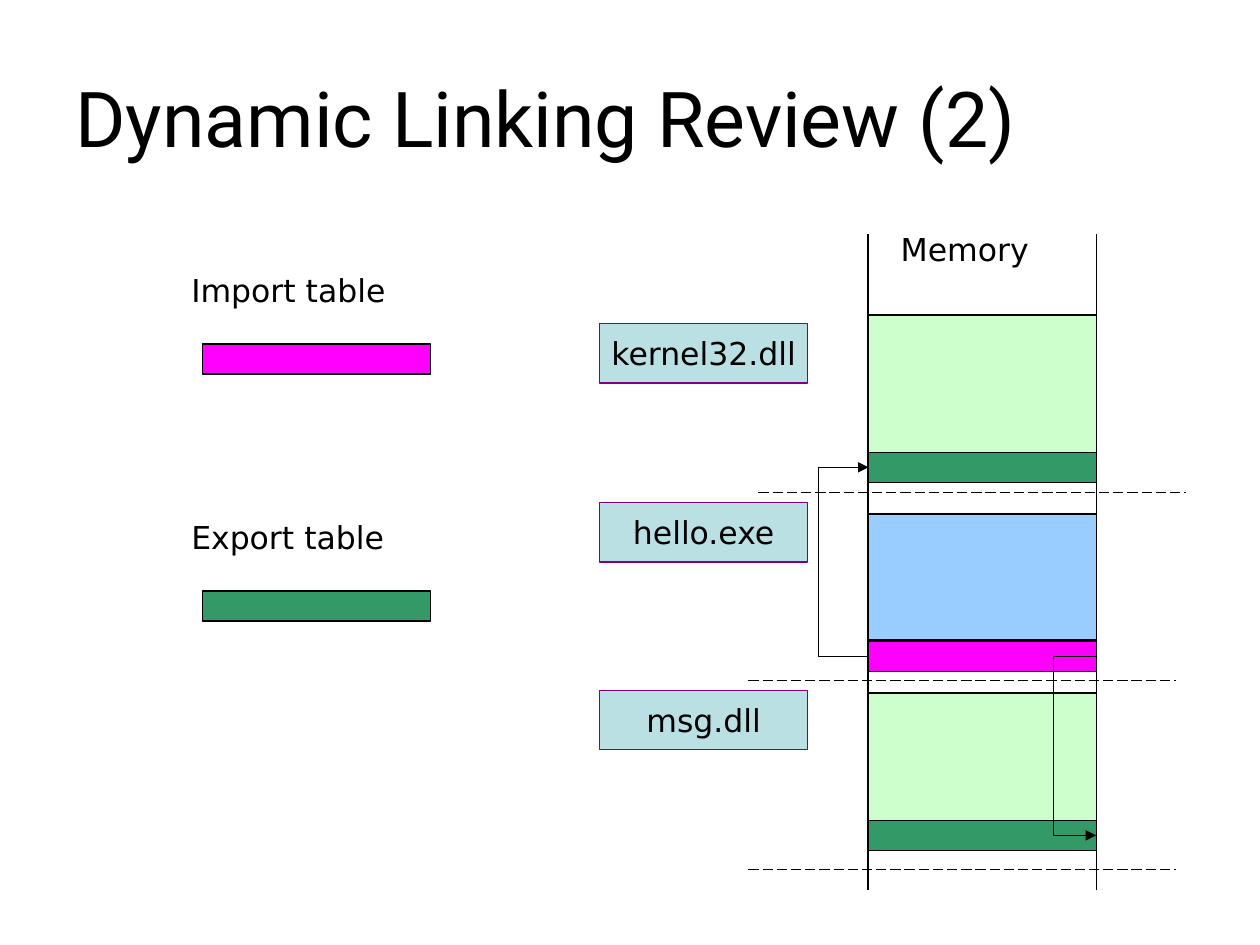
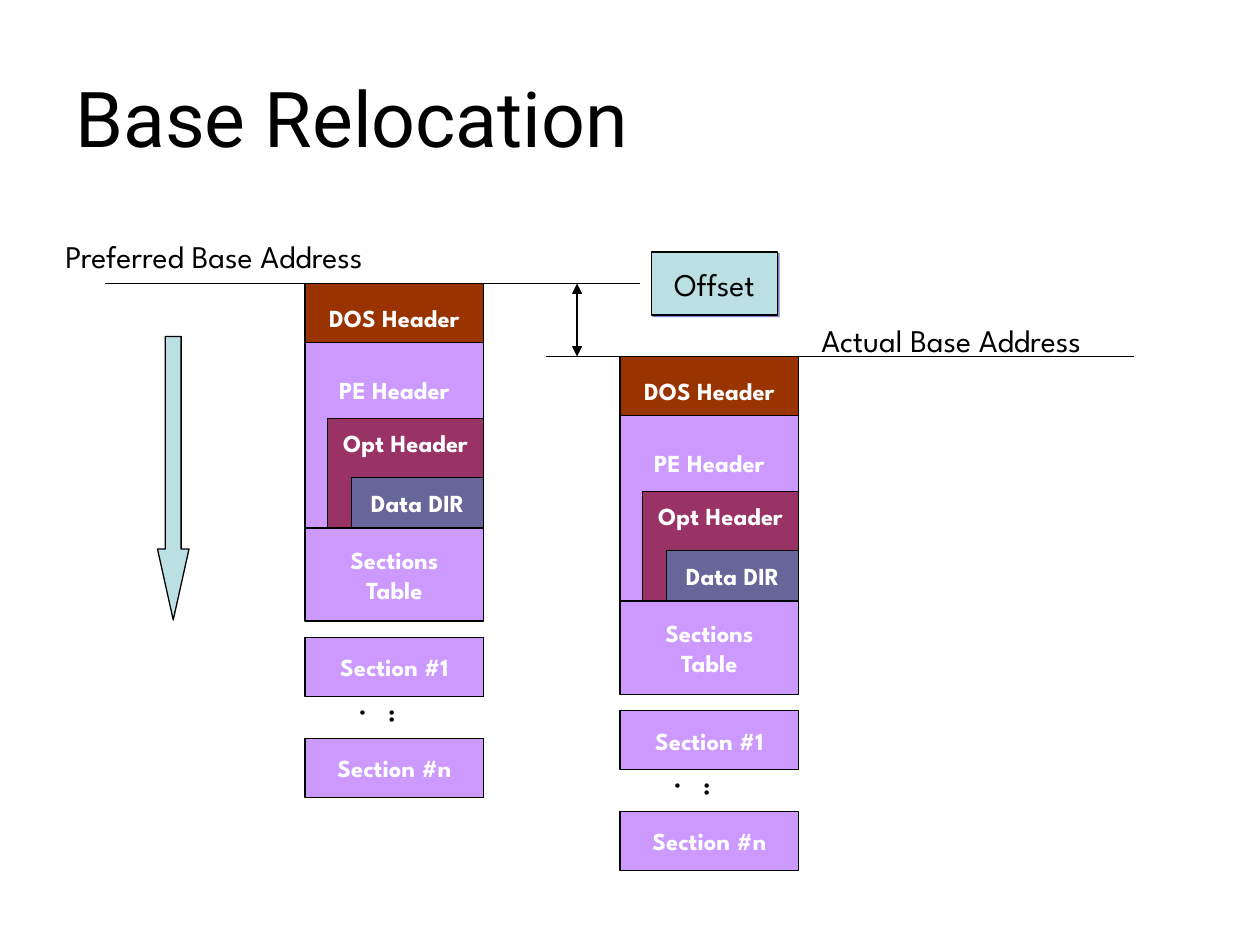
from lxml import etree
from pptx import Presentation
from pptx.dml.color import RGBColor
from pptx.enum.dml import MSO_LINE as DASH
from pptx.enum.shapes import MSO_CONNECTOR as CONN, MSO_SHAPE as SHAPE
from pptx.enum.text import MSO_ANCHOR as ANCHOR, PP_ALIGN as ALIGN
from pptx.oxml.ns import qn
from pptx.util import Inches, Pt

BLACK = RGBColor(0x00, 0x00, 0x00)
WHITE = RGBColor(0xFF, 0xFF, 0xFF)
TEAL = RGBColor(0xBB, 0xE0, 0xE3)
PURPLE = RGBColor(0x80, 0x00, 0x80)
MINT = RGBColor(0xCC, 0xFF, 0xCC)
SKY = RGBColor(0x99, 0xCC, 0xFF)
GREEN = RGBColor(0x33, 0x99, 0x66)
PINK = RGBColor(0xFF, 0x00, 0xFF)
BROWN = RGBColor(0x99, 0x33, 0x00)
LILAC = RGBColor(0xCC, 0x99, 0xFF)
PLUM = RGBColor(0x99, 0x33, 0x66)
SLATE = RGBColor(0x66, 0x66, 0x99)
SANS, SPARTAN, ROBOTO = "DejaVu Sans", "League Spartan", "Roboto"


def put(shapes, at, text="", font=SANS, size=18, fill=None, edge=BLACK,
        color=BLACK, bold=False, kind=SHAPE.RECTANGLE):
    """Add a filled shape, or a plain text box when there is no fill."""
    at = [Inches(n) for n in at]
    if fill is None:
        box = shapes.add_textbox(*at)
    else:
        box = shapes.add_shape(kind, *at)
        box.shadow.inherit = False
        box.fill.solid()
        box.fill.fore_color.rgb = fill
        box.line.color.rgb = edge
        box.line.width = Pt(0.75)
    frame = box.text_frame
    frame.word_wrap = fill is None
    frame.vertical_anchor = ANCHOR.TOP if fill is None else ANCHOR.MIDDLE
    if text:
        frame.text = text
    for para in frame.paragraphs:
        para.alignment = ALIGN.LEFT if fill is None else ALIGN.CENTER
        for run in para.runs:
            run.font.name, run.font.size = font, Pt(size)
            run.font.bold, run.font.color.rgb = bold, color
    return box


def link(shapes, start, end, kind=CONN.STRAIGHT, dash=None, tips=()):
    """Add a black line; tips names the ends that carry an arrowhead."""
    line = shapes.add_connector(kind, *[Inches(n) for n in start + end])
    line.line.color.rgb = BLACK
    line.line.width = Pt(0.75)
    if dash:
        line.line.dash_style = dash
    for tip in tips:
        etree.SubElement(line.line._get_or_add_ln(), qn("a:" + tip), type="triangle")
    etree.SubElement(line._element.spPr, qn("a:effectLst"))
    return line


# Slides and titles
deck = Presentation()
deck.slide_width, deck.slide_height = Inches(10), Inches(7.5)
pages = []
for name in ("Dynamic Linking Review (2)", "Base Relocation"):
    page = deck.slides.add_slide(deck.slide_layouts[6])
    title = put(page.shapes, (0.5, 0.3, 9, 1.25), name, ROBOTO, 44)
    title.text_frame.vertical_anchor = ANCHOR.MIDDLE
    pages.append(page.shapes)
link_page, base_page = pages

# Memory column
LEFT, WIDE, THIN = 6.89, 1.81, 0.24
RIGHT = LEFT + WIDE
for x in (LEFT, RIGHT):
    link(link_page, (x, 1.86), (x, 7.06))
put(link_page, (7.05, 1.78, 1.58, 0.4), "Memory")

# Modules: label top, block top, block height, table top, colours
modules = [
    ("kernel32.dll", 2.57, 2.5, 1.09, 3.59, MINT, GREEN),
    ("hello.exe", 3.99, 4.08, 1, 5.09, SKY, PINK),
    ("msg.dll", 5.48, 5.5, 1.01, 6.51, MINT, GREEN),
]
tables = []
for name, tag, top, tall, low, fill, mark in modules:
    put(link_page, (4.76, tag, 1.65, 0.47), name, fill=TEAL, edge=PURPLE)
    put(link_page, (LEFT, top, WIDE, tall), fill=fill)
    tables.append(put(link_page, (LEFT, low, WIDE, THIN), fill=mark))
for x, y in ((6.02, 3.91), (5.94, 5.4), (5.94, 6.9)):
    link(link_page, (x, y), (x + 3.39, y), dash=DASH.LONG_DASH)

# Bent arrows from the import table to each export table
RATIO = 144
kernel, hello, msg = tables
for goal, x, y, site, reach in ((kernel, LEFT, 3.71, 1, -0.4), (msg, RIGHT, 6.63, 3, 0.34)):
    bend = link(link_page, (x, 5.21), (x, y), CONN.ELBOW, tips=["tailEnd"])
    bend.begin_connect(hello, site)
    bend.end_connect(goal, site)
    bend.width = Inches(abs(reach) / RATIO)
    guides = bend._element.spPr.find(qn("a:prstGeom")).get_or_add_avLst()
    ratio = RATIO if reach > 0 else -RATIO
    etree.SubElement(guides, qn("a:gd"), name="adj1", fmla=f"val {ratio * 100000}")

# Legend
for name, top, fill in (("Import table", 2.1, PINK), ("Export table", 4.06, GREEN)):
    put(link_page, (1.42, top, 2.44, 0.4), name)
    put(link_page, (1.61, top + 0.63, WIDE, THIN), fill=fill)

# Direction arrow and base address lines
arrow = put(base_page, (1.25, 2.67, 0.25, 2.25), fill=TEAL, kind=SHAPE.DOWN_ARROW)
arrow.adjustments[0], arrow.adjustments[1] = 0.5, 2.25
link(base_page, (0.83, 2.25), (5.08, 2.25))
put(base_page, (0.42, 1.83, 4.33, 0.4), "Preferred Base Address", SPARTAN)
link(base_page, (4.33, 2.83), (9, 2.83))
put(base_page, (6.42, 2.5, 3.58, 0.4), "Actual Base Address", SPARTAN)
link(base_page, (4.58, 2.25), (4.58, 2.83), tips=["headEnd", "tailEnd"])

# File layout: text, indent, drop, height, fill, top inset for top-set text
parts = [
    ("DOS Header", 0, 0, 0.54, BROWN, None),
    ("PE Header", 0, 0.47, 1.47, LILAC, 0.26),
    ("Opt Header", 0.18, 1.07, 0.87, PLUM, 0.08),
    ("Sections\nTable", 0, 1.94, 0.74, LILAC, None),
    ("Section #1", 0, 2.81, 0.47, LILAC, None),
    ("Section #n", 0, 3.61, 0.47, LILAC, None),
    ("Data DIR", 0.37, 1.54, 0.4, SLATE, None),
]
for x, y in ((2.42, 2.25), (4.92, 2.83)):
    group = base_page.add_group_shape().shapes
    for name, dent, drop, tall, fill, inset in parts:
        box = put(group, (x + dent, y + drop, 1.42 - dent, tall), name,
                  SPARTAN, 14, fill, color=WHITE, bold=True)
        if inset:
            box.text_frame.vertical_anchor = ANCHOR.TOP
            box.text_frame.margin_top = Inches(inset)
    dots = put(group, (x + 0.49, y + 3.28, 0.43, 0.33), "...", SPARTAN, 14, bold=True)
    frame = dots.text_frame
    frame.margin_left = frame.margin_right = Inches(0.05)
    frame.margin_top = frame.margin_bottom = Inches(0.1)
    frame._txBody.bodyPr.set("vert", "eaVert")

# Offset label with its soft blue shadow
label = put(base_page, (5.17, 2, 1, 0.5), "Offset", SPARTAN, fill=TEAL)
effects = label._element.spPr.find(qn("a:effectLst"))
shade = etree.SubElement(effects, qn("a:outerShdw"), dist=str(Pt(1.4)), dir="2700000")
tint = etree.SubElement(shade, qn("a:srgbClr"), val="000099")
etree.SubElement(tint, qn("a:alpha"), val="50000")

deck.save("out.pptx")
